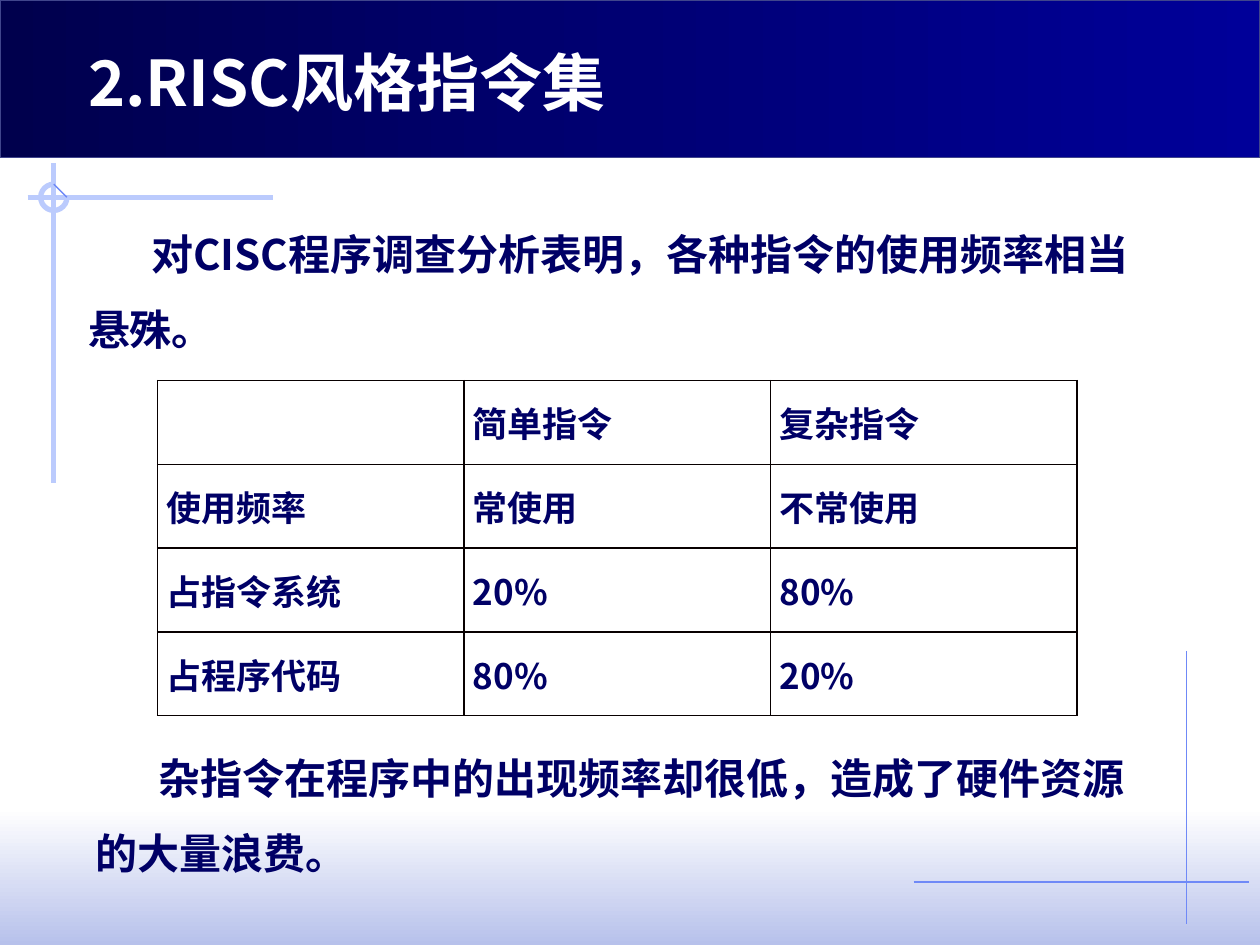
from lxml import etree
from pptx import Presentation
from pptx.dml.color import RGBColor
from pptx.enum.shapes import MSO_CONNECTOR as Conn, MSO_SHAPE as Geo
from pptx.enum.text import MSO_ANCHOR as Anchor, MSO_AUTO_SIZE as Fit, PP_ALIGN as Align
from pptx.oxml import parse_xml
from pptx.oxml.ns import nsdecls, qn
from pptx.util import Pt

NAVY, PALE, BLUE = "000066", "BBCBFD", "6F89F7"
SANS = "Noto Sans CJK SC"
ROWS = [
    ["", "简单指令", "复杂指令"],
    ["使用频率", "常使用", "不常使用"],
    ["占指令系统", "20%", "80%"],
    ["占程序代码", "80%", "20%"],
]


def rgb(code):
    return RGBColor.from_string(code)


def style(para, size, color=NAVY, face=SANS):
    """Format a paragraph, for Latin and East Asian text alike."""
    font = para.font
    font.size, font.bold, font.name = Pt(size), True, face
    font.color.rgb = rgb(color)
    para.alignment = Align.LEFT
    props = para._p.pPr.find(qn("a:defRPr"))
    etree.SubElement(props, qn("a:ea")).set("typeface", face)


def add_line(slide, x1, y1, x2, y2, color, width):
    line = slide.shapes.add_connector(Conn.STRAIGHT, Pt(x1), Pt(y1), Pt(x2), Pt(y2))
    line.line.color.rgb = rgb(color)
    line.line.width = Pt(width)
    etree.SubElement(line._element.spPr, qn("a:effectLst"))


def add_band(slide, x, y, w, h, start, end, angle, edge=None):
    """Draw a rectangle with a two-colour gradient."""
    band = slide.shapes.add_shape(Geo.RECTANGLE, Pt(x), Pt(y), Pt(w), Pt(h))
    band.shadow.inherit = False
    band.fill.gradient()
    band.fill.gradient_angle = angle
    for stop, color in zip(band.fill.gradient_stops, (start, end)):
        stop.color.rgb = rgb(color)
    if edge:
        band.line.color.rgb = rgb(edge)
        band.line.width = Pt(0.75)
    else:
        band.line.fill.background()


def add_target(slide, x, y, r):
    """Draw the cross with a ring, centred on x, y."""
    add_line(slide, x - 15, y, x + 125, y, PALE, 3)
    add_line(slide, x, y - 19.5, x, y + 163, PALE, 3)
    ring = slide.shapes.add_shape(Geo.ARC, Pt(x - r), Pt(y - r), Pt(2 * r), Pt(2 * r))
    ring.shadow.inherit = False
    ring.adjustments[0], ring.adjustments[1] = 0, 162  # right, clockwise to top
    ring.fill.background()
    ring.line.color.rgb = rgb(PALE)
    ring.line.width = Pt(3)
    add_line(slide, x, y - r, x + r, y, BLUE, 0.75)


def add_corner(slide, x, y):
    """Draw the thin cross that meets at x, y."""
    add_line(slide, x, y - 132, x, y + 24, BLUE, 0.75)
    add_line(slide, x - 156, y, x + 36, y, BLUE, 0.75)


def add_title(slide, text, x, y, w, h):
    title = slide.shapes.title
    slide.shapes._spTree.append(title._element)  # in front of the banner
    title.left, title.top, title.width, title.height = Pt(x), Pt(y), Pt(w), Pt(h)
    frame = title.text_frame
    frame.text = text
    frame.auto_size = Fit.NONE
    frame.vertical_anchor = Anchor.MIDDLE
    style(frame.paragraphs[0], 36, "FFFFFF", "Noto Sans CJK JP")


def add_body(slide, text, x, y, w, h):
    frame = slide.shapes.add_textbox(Pt(x), Pt(y), Pt(w), Pt(h)).text_frame
    frame.word_wrap = True
    frame.text = text
    para = frame.paragraphs[0]
    para.line_spacing = 1.5
    style(para, 24)
    para._p.pPr.set("indent", str(Pt(36)))


def add_borders(cell, color="080000"):
    props = cell._tc.get_or_add_tcPr()
    for i, side in enumerate("LRTB"):
        props.insert(i, parse_xml(
            f'<a:ln{side} {nsdecls("a")} w="{Pt(1)}"><a:solidFill>'
            f'<a:srgbClr val="{color}"/></a:solidFill></a:ln{side}>'))


def add_grid(slide, rows, x, y, w, h):
    table = slide.shapes.add_table(
        len(rows), len(rows[0]), Pt(x), Pt(y), Pt(w), Pt(h)).table
    table.first_row = table.horz_banding = False
    for r, row in enumerate(rows):
        for c, text in enumerate(row):
            cell = table.cell(r, c)
            cell.margin_left = cell.margin_right = Pt(5)
            cell.margin_top = cell.margin_bottom = 0
            cell.vertical_anchor = Anchor.MIDDLE
            cell.text = text
            style(cell.text_frame.paragraphs[0], 20)
            cell.fill.background()
            add_borders(cell)


def main():
    deck = Presentation()
    deck.slide_width, deck.slide_height = Pt(720), Pt(540)
    slide = deck.slides.add_slide(deck.slide_layouts[5])
    add_band(slide, 0, 462, 720, 78, "FFFFFF", "B7C1EB", 270)
    add_target(slide, 30.75, 112.75, 7.5)
    add_band(slide, 0, 0, 720, 90, "00004D", "000099", 0, "40458C")
    add_corner(slide, 678, 504)
    add_title(slide, "2.RISC风格指令集", 43.2, 21, 584.6, 51)
    add_body(slide, "对CISC程序调查分析表明，各种指令的使用频率相当悬殊。",
             43.2, 112.5, 625, 48)
    add_grid(slide, ROWS, 90, 217.5, 525.6, 191.4)
    add_body(slide, "杂指令在程序中的出现频率却很低，造成了硬件资源的大量浪费。",
             47.5, 412, 608.4, 88.5)
    deck.save("out.pptx")


if __name__ == "__main__":
    main()
